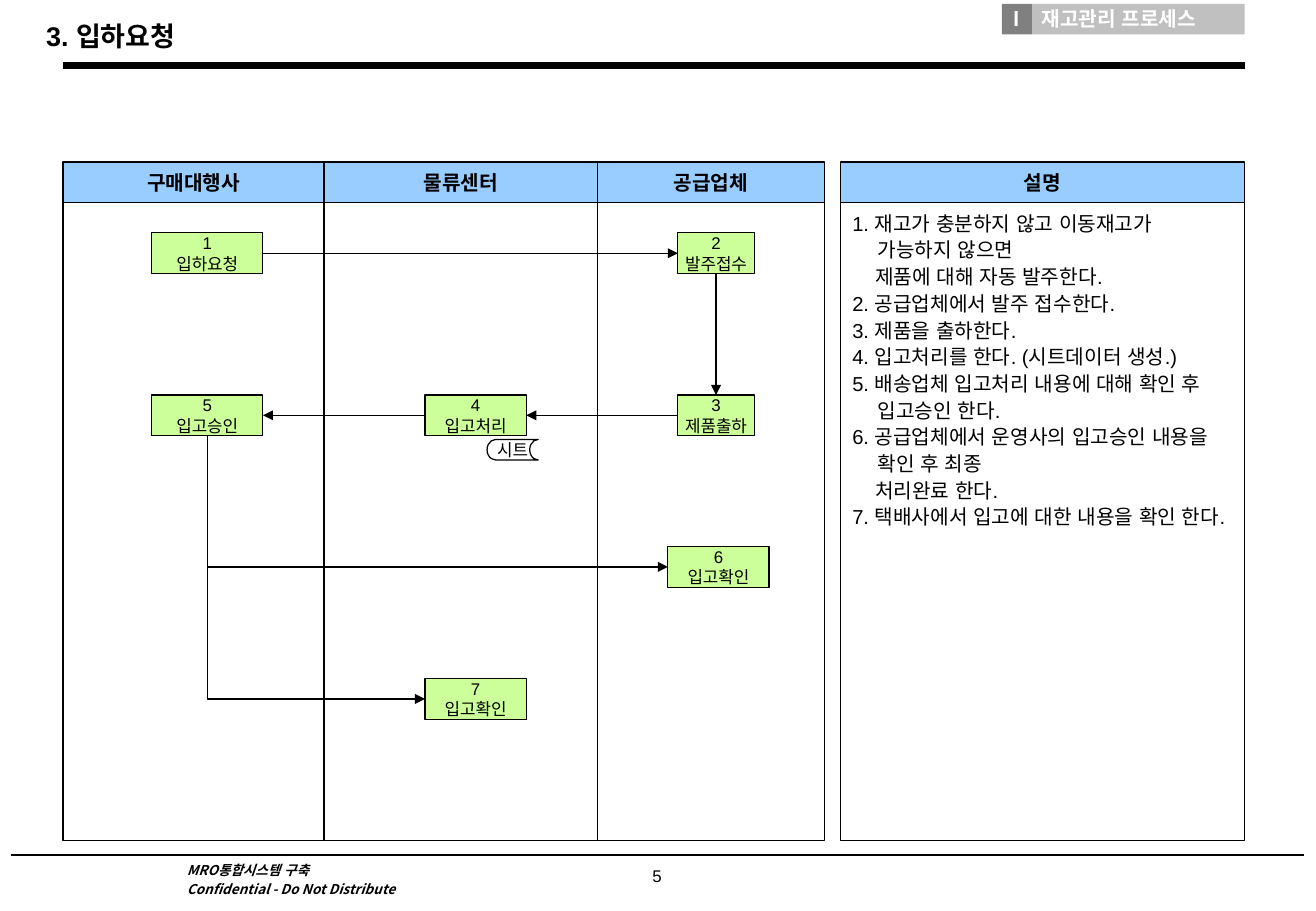
from dataclasses import dataclass
from typing import Optional

from lxml.etree import SubElement
from pptx import Presentation
from pptx.dml.color import RGBColor
from pptx.enum.lang import MSO_LANGUAGE_ID
from pptx.enum.shapes import MSO_CONNECTOR, MSO_SHAPE
from pptx.enum.text import MSO_ANCHOR, MSO_AUTO_SIZE, PP_ALIGN
from pptx.oxml.ns import qn
from pptx.util import Cm, Pt

BLACK = RGBColor(0x00, 0x00, 0x00)
WHITE = RGBColor(0xFF, 0xFF, 0xFF)
HEADER_BLUE = RGBColor(0x99, 0xCC, 0xFF)
STEP_GREEN = RGBColor(0xCC, 0xFF, 0x99)
TAG_DARK = RGBColor(0x80, 0x80, 0x80)
TAG_LIGHT = RGBColor(0xC0, 0xC0, 0xC0)
LATIN_FONT = "Arial"
KOREAN_FONT = "Noto Sans CJK KR"

HEADER_TOP, HEADER_HEIGHT = 3.39, 0.85
BODY_TOP, BODY_HEIGHT = 4.24, 13.34
STEP_HEIGHT = 0.85
TOP, LEFT, BOTTOM, RIGHT = range(4)


@dataclass(frozen=True)
class Column:
    heading: str
    left: float
    width: float


@dataclass(frozen=True)
class Step:
    number: int
    label: str
    left: float
    top: float
    width: float


@dataclass(frozen=True)
class Flow:
    source: int
    source_side: int
    target: int
    target_side: int


@dataclass(frozen=True)
class Note:
    text: str
    continued: bool = False


COLUMNS = [
    Column("구매대행사", 1.32, 5.46),
    Column("물류센터", 6.78, 5.72),
    Column("공급업체", 12.5, 4.75),
    Column("설명", 17.58, 8.46),
]
STEPS = [
    Step(1, "입하요청", 3.17, 4.87, 2.33),
    Step(2, "발주접수", 14.18, 4.87, 1.6),
    Step(3, "제품출하", 14.18, 8.26, 1.6),
    Step(4, "입고처리", 8.89, 8.26, 2.12),
    Step(5, "입고승인", 3.17, 8.26, 2.33),
    Step(6, "입고확인", 13.97, 11.43, 2.12),
    Step(7, "입고확인", 8.89, 14.19, 2.12),
]
FLOWS = [
    Flow(1, RIGHT, 2, LEFT),
    Flow(2, BOTTOM, 3, TOP),
    Flow(3, LEFT, 4, RIGHT),
    Flow(4, LEFT, 5, RIGHT),
    Flow(5, BOTTOM, 6, LEFT),
    Flow(5, BOTTOM, 7, LEFT),
]
NOTES = [
    Note("1. 재고가 충분하지 않고 이동재고가 가능하지 않으면"),
    Note("제품에 대해 자동 발주한다.", continued=True),
    Note("2. 공급업체에서 발주 접수한다."),
    Note("3. 제품을 출하한다."),
    Note("4. 입고처리를 한다. (시트데이터 생성.)"),
    Note("5. 배송업체 입고처리 내용에 대해 확인 후 입고승인 한다."),
    Note("6. 공급업체에서 운영사의 입고승인 내용을 확인 후 최종"),
    Note("처리완료 한다.", continued=True),
    Note("7. 택배사에서 입고에 대한 내용을 확인 한다."),
]


def write(frame, lines, size, *, color=BLACK, bold=False, italic=False,
          font_name=LATIN_FONT, align=PP_ALIGN.LEFT, spacing=1.0):
    """Fill a text frame with one paragraph per line and return the paragraphs."""
    for index, line in enumerate(lines):
        paragraph = frame.paragraphs[0] if index == 0 else frame.add_paragraph()
        paragraph.alignment = align
        paragraph.line_spacing = spacing
        run = paragraph.add_run()
        run.text = line
        font = run.font
        font.name, font.size, font.bold, font.italic = font_name, Pt(size), bold, italic
        font.color.rgb = color
        font.language_id = MSO_LANGUAGE_ID.KOREAN
        SubElement(font._element, qn("a:ea")).set("typeface", KOREAN_FONT)
    return frame.paragraphs


def add_box(slide, left, top, width, height, fill: Optional[RGBColor] = None,
            outlined=True, kind=MSO_SHAPE.RECTANGLE):
    shape = slide.shapes.add_shape(kind, Cm(left), Cm(top), Cm(width), Cm(height))
    shape.shadow.inherit = False
    if fill is None:
        shape.fill.background()
    else:
        shape.fill.solid()
        shape.fill.fore_color.rgb = fill
    if outlined:
        shape.line.color.rgb = BLACK
        shape.line.width = Pt(0.75)
    else:
        shape.line.fill.background()
    shape.text_frame.word_wrap = False
    shape.text_frame.vertical_anchor = MSO_ANCHOR.MIDDLE
    return shape


def add_text(slide, left, top, width, height):
    frame = slide.shapes.add_textbox(Cm(left), Cm(top), Cm(width), Cm(height)).text_frame
    frame.word_wrap = True
    return frame


def add_line(slide, start, end, width, kind=MSO_CONNECTOR.STRAIGHT):
    connector = slide.shapes.add_connector(kind, *map(Cm, (*start, *end)))
    connector.line.color.rgb = BLACK
    connector.line.width = Pt(width)
    SubElement(connector._element.spPr, qn("a:effectLst"))
    return connector


def add_flow(slide, flow: Flow, boxes):
    bent = flow.source_side == BOTTOM and flow.target_side == LEFT
    kind = MSO_CONNECTOR.ELBOW if bent else MSO_CONNECTOR.STRAIGHT
    connector = add_line(slide, (0, 0), (0, 0), 0.75, kind)
    connector.begin_connect(boxes[flow.source], flow.source_side)
    connector.end_connect(boxes[flow.target], flow.target_side)
    SubElement(connector.line._get_or_add_ln(), qn("a:tailEnd")).set("type", "triangle")
    if bent:
        bend_down_then_right(connector)


def bend_down_then_right(connector):
    """Turn an elbow into a single corner: down first, then right."""
    across, down = connector.width, connector.height
    shift = (across - down) // 2
    connector.left, connector.top = connector.left + shift, connector.top - shift
    connector.width, connector.height = down, across
    properties = connector._element.spPr
    properties.find(qn("a:prstGeom")).set("prst", "bentConnector2")
    transform = properties.find(qn("a:xfrm"))
    transform.set("rot", "16200000")
    transform.set("flipH", "1")


def add_tag(slide, text, left, width, fill, margin, align, font_name):
    frame = add_box(slide, left, 0.08, width, 0.64, fill, outlined=False).text_frame
    frame.vertical_anchor = MSO_ANCHOR.TOP
    frame.margin_left, frame.margin_right = Cm(margin), Cm(0.1)
    frame.margin_top = frame.margin_bottom = 0
    write(frame, [text], 12, color=WHITE, bold=True, font_name=font_name,
          align=align, spacing=1.1)


def add_title(slide, text):
    title = slide.shapes.title
    title.left, title.top, title.width, title.height = map(Cm, (0.71, 0.28, 3.43, 0.94))
    frame = title.text_frame
    frame.word_wrap, frame.auto_size = False, MSO_AUTO_SIZE.NONE
    frame.vertical_anchor = MSO_ANCHOR.TOP
    write(frame, [text], 16, bold=True)


def add_notes(frame):
    frame.word_wrap = True
    frame.vertical_anchor = MSO_ANCHOR.TOP
    frame.margin_right = Cm(0.3)
    paragraphs = write(frame, [note.text for note in NOTES], 12, spacing=1.1)
    for note, paragraph in zip(NOTES, paragraphs):
        margin, indent = (0.48, 0) if note.continued else (0.53, -0.53)
        properties = paragraph._p.get_or_add_pPr()
        properties.set("marL", str(Cm(margin)))
        properties.set("indent", str(Cm(indent)))


def add_footer(slide):
    add_line(slide, (0.23, 17.88), (27.28, 17.88), 1)
    write(add_text(slide, 13.16, 18.03, 1.17, 1.02), ["5"], 10,
          align=PP_ALIGN.CENTER, spacing=0.9)
    lines = write(add_text(slide, 3.66, 18.03, 6.58, 0.84),
                  ["MRO통합시스템 구축", "Confidential - Do Not Distribute"], 8,
                  bold=True, italic=True, font_name=KOREAN_FONT, spacing=0.6)
    lines[1].space_before = Pt(5)


def main():
    presentation = Presentation()
    presentation.slide_width, presentation.slide_height = Cm(27.53), Cm(19.05)
    slide = presentation.slides.add_slide(presentation.slide_layouts[5])
    add_title(slide, "3. 입하요청")
    add_line(slide, (1.32, 1.37), (26.04, 1.37), 4)
    add_tag(slide, "Ⅰ", 20.96, 0.63, TAG_DARK, 0.1, PP_ALIGN.CENTER, KOREAN_FONT)
    add_tag(slide, "재고관리 프로세스", 21.59, 4.45, TAG_LIGHT, 0.2, PP_ALIGN.LEFT, LATIN_FONT)

    for column in COLUMNS:
        body = add_box(slide, column.left, BODY_TOP, column.width, BODY_HEIGHT)
        header = add_box(slide, column.left, HEADER_TOP, column.width, HEADER_HEIGHT, HEADER_BLUE)
        write(header.text_frame, [column.heading], 12, bold=True, align=PP_ALIGN.CENTER)
    add_notes(body.text_frame)

    boxes = {}
    for step in STEPS:
        box = add_box(slide, step.left, step.top, step.width, STEP_HEIGHT, STEP_GREEN)
        write(box.text_frame, [str(step.number), step.label], 10, align=PP_ALIGN.CENTER)
        boxes[step.number] = box
    for flow in FLOWS:
        add_flow(slide, flow, boxes)
    sheet_data = add_box(slide, 10.19, 9.19, 1.07, 0.43, WHITE,
                         kind=MSO_SHAPE.FLOWCHART_STORED_DATA)
    write(sheet_data.text_frame, ["시트"], 10, align=PP_ALIGN.CENTER)

    add_footer(slide)
    presentation.save("out.pptx")


if __name__ == "__main__":
    main()
